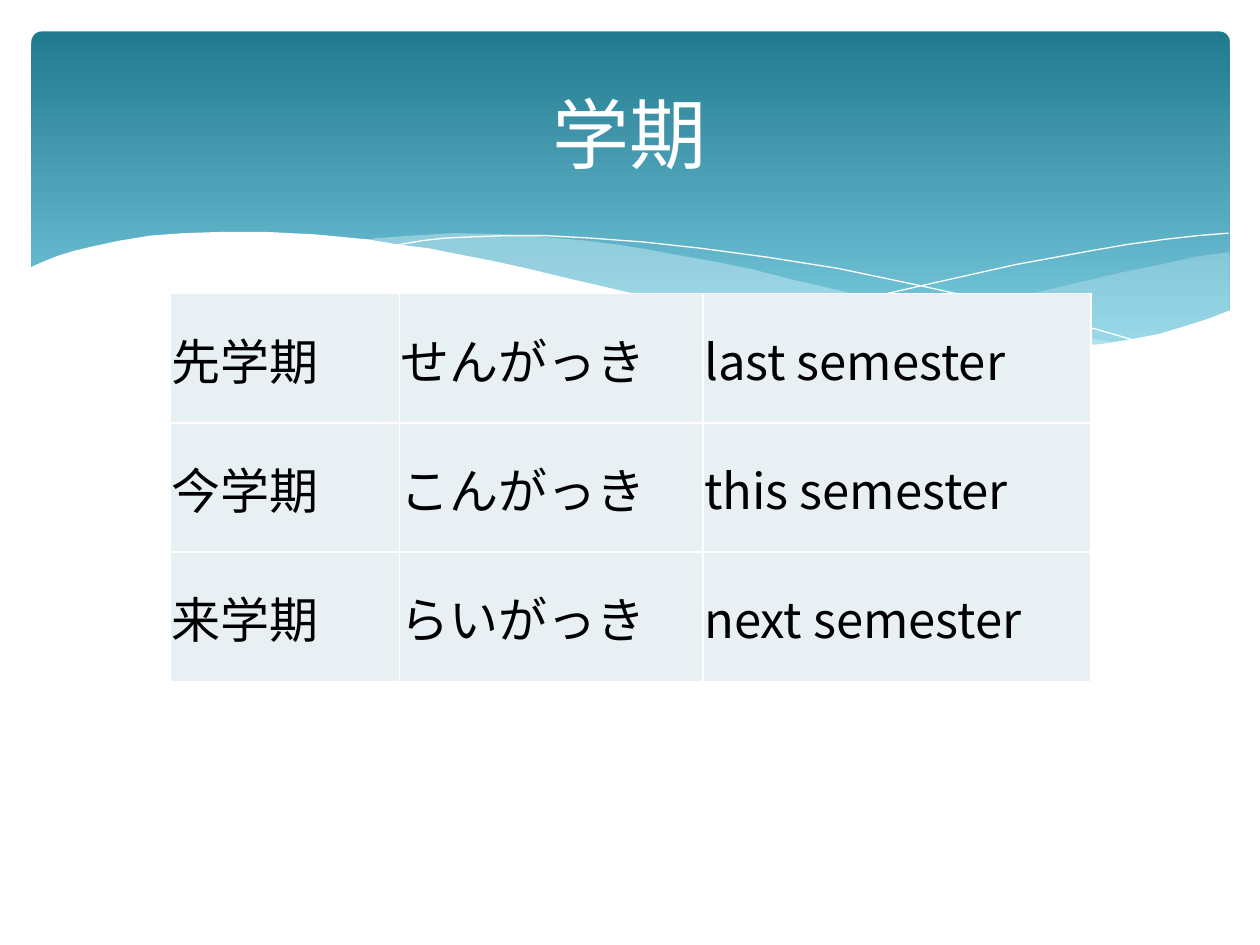
from dataclasses import dataclass

from lxml import etree
from pptx import Presentation
from pptx.dml.color import RGBColor
from pptx.enum.shapes import MSO_SHAPE
from pptx.enum.text import MSO_ANCHOR, PP_ALIGN
from pptx.oxml.ns import qn
from pptx.util import Emu, Pt

ROUNDED = MSO_SHAPE.ROUNDED_RECTANGLE
MIDDLE = MSO_ANCHOR.MIDDLE
CENTER = PP_ALIGN.CENTER
TITLE_ONLY = 5
EMU_PER_PX = 9144  # 100 px to the inch


@dataclass(frozen=True)
class Theme:
    banner_top: str = "227A8F"
    banner_bottom: str = "7ACBE0"
    wave: str = "DEF5FA"
    white: str = "FFFFFF"
    cell: str = "E8F0F4"
    text: str = "000000"
    title_font: str = "Cabin"
    table_font: str = "Noto Sans CJK SC"
    title_size: int = 44
    table_size: int = 28
    border: int = 1


THEME = Theme()

# Wave outlines, in px from the top left corner of the header.
RIGHT_WAVE = [
    (975, 200), (948, 204), (921, 210), (891, 216), (861, 223), (832, 230),
    (779, 242), (729, 253), (683, 262), (661, 265), (691, 269), (719, 272),
    (745, 275), (769, 277), (803, 278), (835, 277), (863, 275), (889, 272),
    (913, 267), (935, 262), (949, 257), (963, 252), (976, 247), (976, 200),
]
MIDDLE_WAVE = [
    (893, 273), (866, 269), (837, 265), (807, 260), (775, 254), (741, 247),
    (706, 240), (668, 231), (629, 222), (598, 214), (569, 208), (541, 203),
    (514, 198), (489, 194), (465, 191), (442, 189), (420, 187), (399, 186),
    (361, 185), (328, 187), (299, 189), (286, 191), (323, 196), (362, 203),
    (404, 211), (449, 222), (491, 232), (530, 240), (566, 248), (601, 255),
    (634, 261), (665, 266), (695, 270), (722, 274), (748, 276), (773, 277),
    (807, 278), (838, 278), (867, 276), (893, 273),
]
FALLING_LINE = [
    (309, 195), (318, 194), (335, 191), (353, 189), (374, 188), (401, 187),
    (433, 187), (469, 189), (510, 192), (556, 197), (608, 204), (665, 213),
    (727, 226), (795, 241), (869, 261), (907, 272),
]
RISING_LINE = [
    (613, 257), (653, 246), (695, 235), (748, 223), (806, 210), (866, 199),
    (895, 194), (924, 190), (951, 187), (975, 185),
]
WHITE_WAVE = [
    (977, 246), (959, 253), (940, 259), (920, 265), (899, 269), (875, 273),
    (850, 275), (823, 277), (793, 276), (761, 275), (726, 272), (688, 268),
    (648, 262), (603, 254), (555, 245), (503, 233), (447, 220), (418, 213),
    (391, 207), (365, 202), (340, 197), (316, 194), (292, 190), (271, 188),
    (250, 186), (230, 185), (211, 184), (177, 184), (146, 185), (119, 187),
    (95, 191), (76, 195), (59, 199), (46, 203), (36, 207), (29, 210),
    (23, 213), (23, 329), (977, 329),
]

SEMESTERS = [
    ("先学期", "せんがっき", "last semester"),
    ("今学期", "こんがっき", "this semester"),
    ("来学期", "らいがっき", "next semester"),
]
COLUMN_WIDTHS = (182, 241, 308)


def px(length):
    return Emu(length * EMU_PER_PX)


def rgb(value):
    return RGBColor.from_string(value)


def add_curve(slide, box, points, fill=None, opacity=100):
    """Draw a filled wave, or an open hairline when no fill is given."""
    left, top = box[:2]
    placed = [(left + x, top + y) for x, y in points]
    builder = slide.shapes.build_freeform(*placed[0], scale=EMU_PER_PX)
    builder.add_line_segments(placed[1:], close=fill is not None)
    curve = builder.convert_to_shape()
    curve.shadow.inherit = False
    if fill is None:
        curve.fill.background()
        curve.line.color.rgb = rgb(THEME.white)
        curve.line.width = Pt(0)
        return
    curve.line.fill.background()
    curve.fill.solid()
    curve.fill.fore_color.rgb = rgb(fill)
    if opacity < 100:
        color = curve.fill._xPr.find(".//" + qn("a:srgbClr"))
        etree.SubElement(color, qn("a:alpha"), val=str(opacity * 1000))


def add_banner(slide, box):
    left, top, width, _ = box
    banner = slide.shapes.add_shape(
        ROUNDED, px(left + 25), px(top + 25), px(width - 49), px(270))
    banner.adjustments[0] = 0.03
    banner.shadow.inherit = False
    banner.line.fill.background()
    banner.fill.gradient()
    banner.fill.gradient_angle = 270
    stops = zip(banner.fill.gradient_stops,
                ((0, THEME.banner_top), (0.9, THEME.banner_bottom)))
    for stop, (position, color) in stops:
        stop.position = position
        stop.color.rgb = rgb(color)


def add_header(slide, box):
    add_banner(slide, box)
    add_curve(slide, box, RIGHT_WAVE, THEME.wave, 29)
    add_curve(slide, box, MIDDLE_WAVE, THEME.wave, 40)
    add_curve(slide, box, FALLING_LINE)
    add_curve(slide, box, RISING_LINE)
    add_curve(slide, box, WHITE_WAVE, THEME.white)


def set_title(slide, box, wording):
    """Fill the title placeholder and bring it in front of the header."""
    title = slide.shapes.title
    slide.shapes._spTree.append(title._element)
    title.left, title.top, title.width, title.height = map(px, box)
    frame = title.text_frame
    frame.text = wording
    frame.vertical_anchor = MIDDLE
    paragraph = frame.paragraphs[0]
    paragraph.alignment = CENTER
    font = paragraph.runs[0].font
    font.name = THEME.title_font
    font.size = Pt(THEME.title_size)
    font.color.rgb = rgb(THEME.white)


def add_borders(cell):
    properties = cell._tc.get_or_add_tcPr()
    for index, side in enumerate(("a:lnL", "a:lnR", "a:lnT", "a:lnB")):
        border = etree.Element(qn(side), w=str(Pt(THEME.border)))
        fill = etree.SubElement(border, qn("a:solidFill"))
        etree.SubElement(fill, qn("a:srgbClr"), val=THEME.white)
        properties.insert(index, border)


def format_cell(cell, wording):
    cell.text_frame.text = wording
    cell.vertical_anchor = MIDDLE
    cell.margin_left = cell.margin_right = cell.margin_top = px(1)
    cell.margin_bottom = 0
    cell.fill.solid()
    cell.fill.fore_color.rgb = rgb(THEME.cell)
    add_borders(cell)
    font = cell.text_frame.paragraphs[0].runs[0].font
    font.size = Pt(THEME.table_size)
    font.color.rgb = rgb(THEME.text)
    font.name = THEME.table_font
    latin = font._element.find(qn("a:latin"))
    latin.addnext(etree.Element(qn("a:ea"), typeface=THEME.table_font))


def add_semester_table(slide, box):
    table = slide.shapes.add_table(
        len(SEMESTERS), len(COLUMN_WIDTHS), *map(px, box)).table
    table.first_row = False
    table.horz_banding = False
    for column, width in zip(table.columns, COLUMN_WIDTHS):
        column.width = px(width)
    for row, wordings in zip(table.rows, SEMESTERS):
        for cell, wording in zip(row.cells, wordings):
            format_cell(cell, wording)


def main():
    presentation = Presentation()
    presentation.slide_width = px(1000)
    presentation.slide_height = px(750)
    slide = presentation.slides.add_slide(
        presentation.slide_layouts[TITLE_ONLY])
    add_header(slide, (0, 0, 1000, 330))
    set_title(slide, (50, 37, 900, 137), "学期")
    add_semester_table(slide, (135, 233, sum(COLUMN_WIDTHS), 308))
    presentation.save("out.pptx")


if __name__ == "__main__":
    main()
